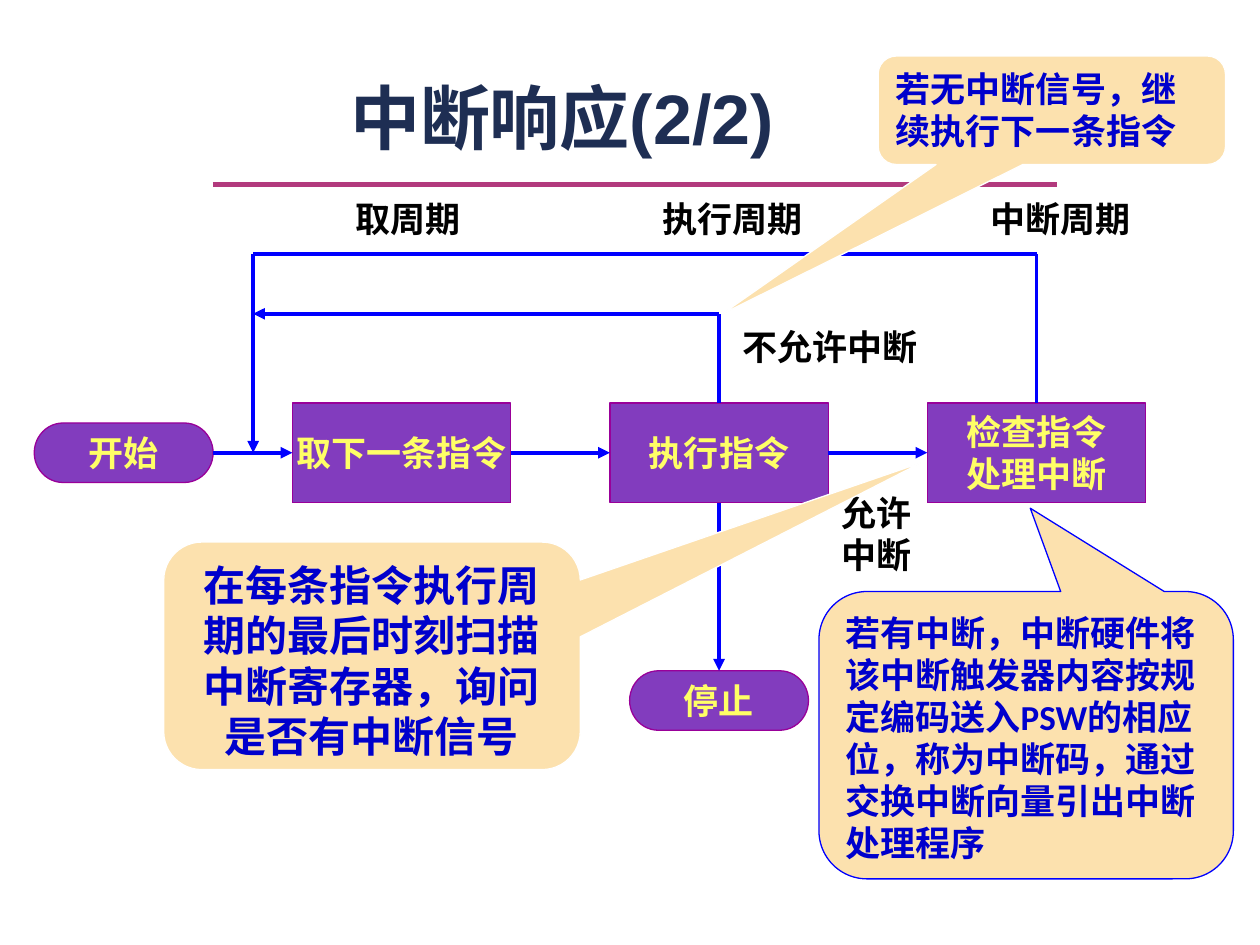
from dataclasses import dataclass

from lxml import etree
from pptx import Presentation
from pptx.dml.color import RGBColor
from pptx.enum.shapes import MSO_CONNECTOR, MSO_SHAPE
from pptx.enum.text import MSO_ANCHOR, MSO_AUTO_SIZE, PP_ALIGN
from pptx.oxml.ns import qn
from pptx.util import Pt

PURPLE, MAGENTA, YELLOW = "823CBE", "990099", "FFFF66"
CREAM, NAVY, BLUE, WHITE = "FCE1AE", "0000CC", "0000FF", "FFFFFF"
BLACK, TITLE_COLOUR, RULE_COLOUR = "000000", "1E2E53", "B23A7D"

FLOW_Y = 258.7
BOX_WIDTH, BOX_HEIGHT = 124.8, 56.9
TERMINATOR_WIDTH, TERMINATOR_HEIGHT = 102.2, 34
FETCH_X, EXECUTE_X, INTERRUPT_X = (229.5 + 181.4 * i for i in range(3))
START_X, STOP_Y = 70.7, 400.3
RETURN_X, OUTER_Y, INNER_Y = 144.7, 145.4, 179.3


@dataclass
class Step:
    text: str
    centre_x: float
    centre_y: float = FLOW_Y
    terminator: bool = False


@dataclass
class Label:
    text: str
    left: float
    top: float
    width: float
    height: float = 31.7


@dataclass
class Line:
    start: tuple[float, float]
    end: tuple[float, float]
    arrow: bool = False
    colour: str = BLUE
    width: float = 2.25


@dataclass
class Callout:
    text: str
    left: float
    top: float
    width: float
    height: float
    tip: tuple[float, float]
    outline: str = WHITE
    size: float = 20
    alignment: PP_ALIGN = PP_ALIGN.LEFT


def colour(value: str) -> RGBColor:
    return RGBColor.from_string(value)


def write(shape, text: str, text_colour: str, size: float = 20,
          alignment: PP_ALIGN = PP_ALIGN.LEFT, anchor: MSO_ANCHOR = MSO_ANCHOR.TOP,
          wrap: bool = True, font_name: str = "Calibri") -> None:
    frame = shape.text_frame
    frame.text = text
    frame.word_wrap = wrap
    frame.vertical_anchor = anchor
    for paragraph in frame.paragraphs:
        paragraph.alignment = alignment
        paragraph.font.name = font_name
        paragraph.font.size = Pt(size)
        paragraph.font.bold = True
        paragraph.font.color.rgb = colour(text_colour)


def add_filled_shape(slide, kind: MSO_SHAPE, left: float, top: float, width: float,
                     height: float, fill: str, outline: str):
    shape = slide.shapes.add_shape(kind, Pt(left), Pt(top), Pt(width), Pt(height))
    shape.shadow.inherit = False
    shape.fill.solid()
    shape.fill.fore_color.rgb = colour(fill)
    shape.line.color.rgb = colour(outline)
    shape.line.width = Pt(0.75)
    return shape


def add_step(slide, step: Step) -> None:
    if step.terminator:
        kind, width, height = MSO_SHAPE.FLOWCHART_TERMINATOR, TERMINATOR_WIDTH, TERMINATOR_HEIGHT
    else:
        kind, width, height = MSO_SHAPE.FLOWCHART_PROCESS, BOX_WIDTH, BOX_HEIGHT
    shape = add_filled_shape(slide, kind, step.centre_x - width / 2,
                             step.centre_y - height / 2, width, height, PURPLE, MAGENTA)
    write(shape, step.text, YELLOW, alignment=PP_ALIGN.CENTER,
          anchor=MSO_ANCHOR.MIDDLE, wrap=False)


def add_label(slide, label: Label) -> None:
    box = slide.shapes.add_textbox(Pt(label.left), Pt(label.top),
                                   Pt(label.width), Pt(label.height))
    write(box, label.text, BLACK, wrap=False)
    box.text_frame.auto_size = MSO_AUTO_SIZE.SHAPE_TO_FIT_TEXT


def add_line(slide, line: Line) -> None:
    connector = slide.shapes.add_connector(
        MSO_CONNECTOR.STRAIGHT, *(Pt(value) for value in (*line.start, *line.end)))
    connector.line.color.rgb = colour(line.colour)
    connector.line.width = Pt(line.width)
    if line.arrow:
        etree.SubElement(connector.line._get_or_add_ln(), qn("a:tailEnd"), type="triangle")
    etree.SubElement(connector._element.spPr, qn("a:effectLst"))


def add_callout(slide, callout: Callout) -> None:
    shape = add_filled_shape(slide, MSO_SHAPE.ROUNDED_RECTANGULAR_CALLOUT,
                             callout.left, callout.top, callout.width, callout.height,
                             CREAM, callout.outline)
    # The tip is measured from the centre, in parts of the width and height.
    shape.adjustments[0], shape.adjustments[1] = callout.tip
    shape.adjustments[2] = 0.167
    write(shape, callout.text, NAVY, callout.size, callout.alignment)


STEPS = [
    Step("开始", START_X, terminator=True),
    Step("取下一条指令", FETCH_X),
    Step("执行指令", EXECUTE_X),
    Step("检查指令\n处理中断", INTERRUPT_X),
    Step("停止", EXECUTE_X, STOP_Y, terminator=True),
]
LABELS = [
    Label("取周期", 195.8, 109.4, 75.5),
    Label("执行周期", 371.5, 109.4, 95.5),
    Label("中断周期", 558.7, 109.4, 95.5),
    Label("不允许中断", 417, 182.2, 115.5),
    Label("允许\n中断", 473.8, 277.2, 55.5, 55.4),
]
HALF_BOX = BOX_WIDTH / 2
BOX_TOP, BOX_BOTTOM = FLOW_Y - BOX_HEIGHT / 2, FLOW_Y + BOX_HEIGHT / 2
FLOW_LINES = [
    Line((START_X + TERMINATOR_WIDTH / 2, FLOW_Y), (FETCH_X - HALF_BOX, FLOW_Y), True),
    Line((FETCH_X + HALF_BOX, FLOW_Y), (EXECUTE_X - HALF_BOX, FLOW_Y), True),
    Line((EXECUTE_X + HALF_BOX, FLOW_Y), (INTERRUPT_X - HALF_BOX, FLOW_Y), True),
    Line((INTERRUPT_X, BOX_TOP), (INTERRUPT_X, OUTER_Y)),
    Line((INTERRUPT_X, OUTER_Y), (RETURN_X, OUTER_Y)),
    Line((RETURN_X, OUTER_Y), (RETURN_X, FLOW_Y), True),
    Line((EXECUTE_X, BOX_TOP), (EXECUTE_X, INNER_Y)),
    Line((EXECUTE_X, INNER_Y), (RETURN_X, INNER_Y), True),
    Line((EXECUTE_X, BOX_BOTTOM), (EXECUTE_X, STOP_Y - TERMINATOR_HEIGHT / 2), True),
]
CALLOUTS = [
    Callout("在每条指令执行周期的最后时刻扫描中断寄存器，询问是否有中断信号",
            93.6, 309.8, 238, 130, (1.32, -0.85), size=24, alignment=PP_ALIGN.CENTER),
    Callout("若无中断信号，继续执行下一条指令",
            501.8, 32, 198.5, 62, (-0.95, 1.88)),
    Callout("若有中断，中断硬件将该中断触发器内容按规定编码送入PSW的相应位，"
            "称为中断码，通过交换中断向量引出中断处理程序",
            468, 338, 236.8, 164.2, (0.01, -0.79), outline=BLUE),
]


def main() -> None:
    presentation = Presentation()
    presentation.slide_width, presentation.slide_height = Pt(720), Pt(540)
    slide = presentation.slides.add_slide(presentation.slide_layouts[5])

    title = slide.shapes.title
    title.left, title.top, title.width, title.height = Pt(36), Pt(25.2), Pt(570.2), Pt(69.1)
    write(title, "中断响应(2/2)", TITLE_COLOUR, 40, PP_ALIGN.CENTER,
          MSO_ANCHOR.BOTTOM, font_name="Arial")
    add_line(slide, Line((121.7, 105.5), (604.1, 105.5), colour=RULE_COLOUR, width=3))

    for step in STEPS:
        add_step(slide, step)
    for label in LABELS:
        add_label(slide, label)
    for line in FLOW_LINES:
        add_line(slide, line)
    for callout in CALLOUTS:
        add_callout(slide, callout)
    presentation.save("out.pptx")


if __name__ == "__main__":
    main()
